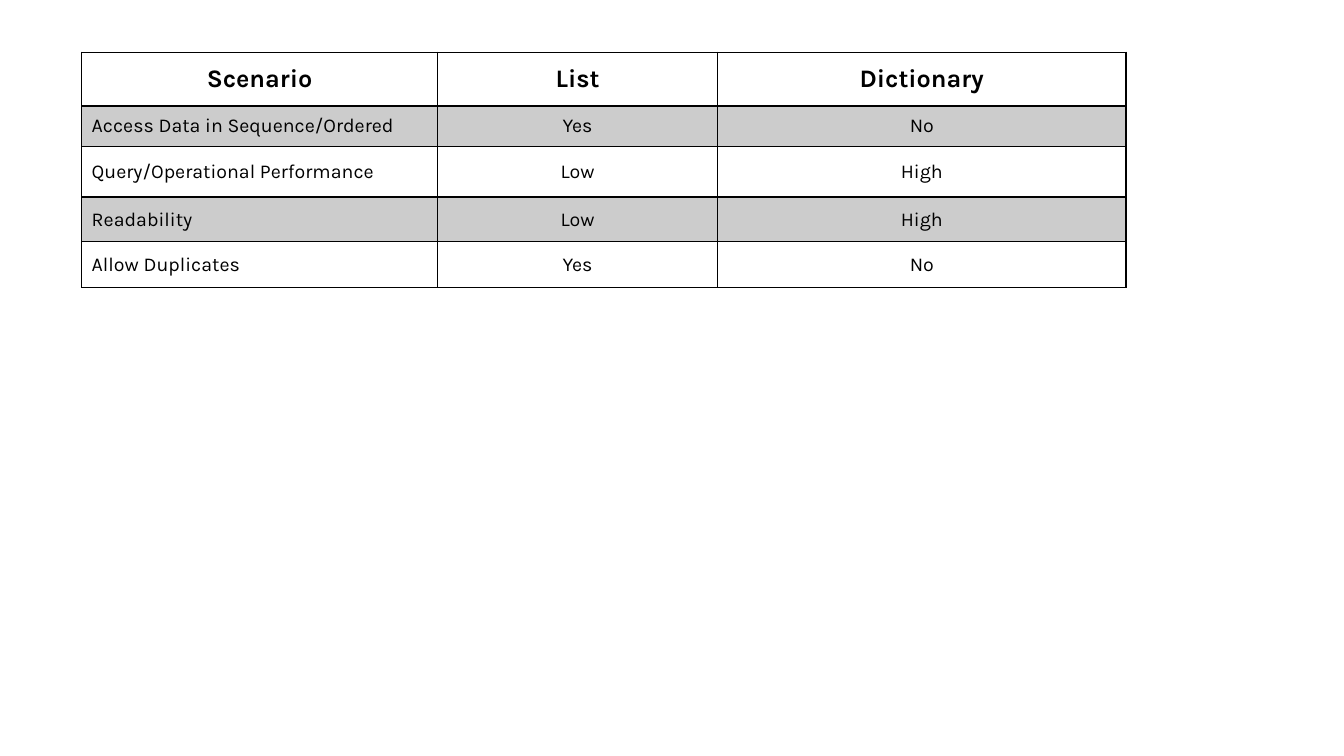
from lxml import etree
from pptx import Presentation
from pptx import util as u
from pptx.dml import color as clr
from pptx.enum import text as txt
from pptx.oxml import ns

COLORS = {"ink": "000000", "shade": "000000"}
SHADE_ALPHA = 20  # percent


def write(cell, words, size=14, bold=False, align=txt.PP_ALIGN.CENTER,
          font="Karla", color="ink"):
    cell.vertical_anchor = txt.MSO_ANCHOR.MIDDLE
    para = cell.text_frame.paragraphs[0]
    para.alignment = align
    run = para.add_run()
    run.text = words
    run.font.name, run.font.size, run.font.bold = font, u.Pt(size), bold
    run.font.color.rgb = clr.RGBColor.from_string(COLORS[color])


class Deck:
    def __init__(self, width, height):
        self.prs = Presentation()
        self.prs.slide_width, self.prs.slide_height = u.Pt(width), u.Pt(height)
        self.slide = self.prs.slides.add_slide(self.prs.slide_layouts[6])

    def paint(self, cell, shaded):
        if not shaded:
            cell.fill.background()
            return
        cell.fill.solid()
        cell.fill.fore_color.rgb = clr.RGBColor.from_string(COLORS["shade"])
        tint = cell._tc.tcPr.find(".//" + ns.qn("a:srgbClr"))
        etree.SubElement(tint, ns.qn("a:alpha"), val=str(SHADE_ALPHA * 1000))

    def border(self, cell, top=1, bottom=1):
        # Borders come before the fill, in the order left, right, top, bottom
        sides = {"lnL": 1, "lnR": 1, "lnT": top, "lnB": bottom}
        for i, (side, width) in enumerate(sides.items()):
            line = etree.Element(ns.qn("a:" + side), w=str(u.Pt(width)))
            fill = etree.SubElement(line, ns.qn("a:solidFill"))
            etree.SubElement(fill, ns.qn("a:srgbClr"), val=COLORS["ink"])
            cell._tc.tcPr.insert(i, line)

    def table(self, left, top, widths, heights, rows):
        box = (left, top, sum(widths), sum(heights))
        frame = self.slide.shapes.add_table(
            len(rows), len(widths), *(u.Pt(v) for v in box))
        grid = frame.table
        grid.first_row = grid.horz_banding = False
        for col, width in zip(grid.columns, widths):
            col.width = u.Pt(width)
        for r, (row, height) in enumerate(zip(rows, heights)):
            grid.rows[r].height = u.Pt(height)
            for c, words in enumerate(row):
                cell = grid.cell(r, c)
                if r == 0:
                    write(cell, words, size=18, bold=True)
                elif c == 0:
                    write(cell, words, align=txt.PP_ALIGN.LEFT)
                else:
                    write(cell, words)
                self.paint(cell, shaded=r % 2 == 1)
                self.border(cell, top=2 if r == 1 else 1,
                            bottom=2 if r == 0 else 1)


def main():
    deck = Deck(960, 540)

    # Comparison of list and dictionary
    deck.table(
        58.3, 37.4,
        widths=[254.2, 200.2, 291.6],
        heights=[38.2, 28.8, 36.4, 32, 32.4],
        rows=[
            ("Scenario", "List", "Dictionary"),
            ("Access Data in Sequence/Ordered", "Yes", "No"),
            ("Query/Operational Performance", "Low", "High"),
            ("Readability", "Low", "High"),
            ("Allow Duplicates", "Yes", "No"),
        ])

    deck.prs.save("out.pptx")


if __name__ == "__main__":
    main()
